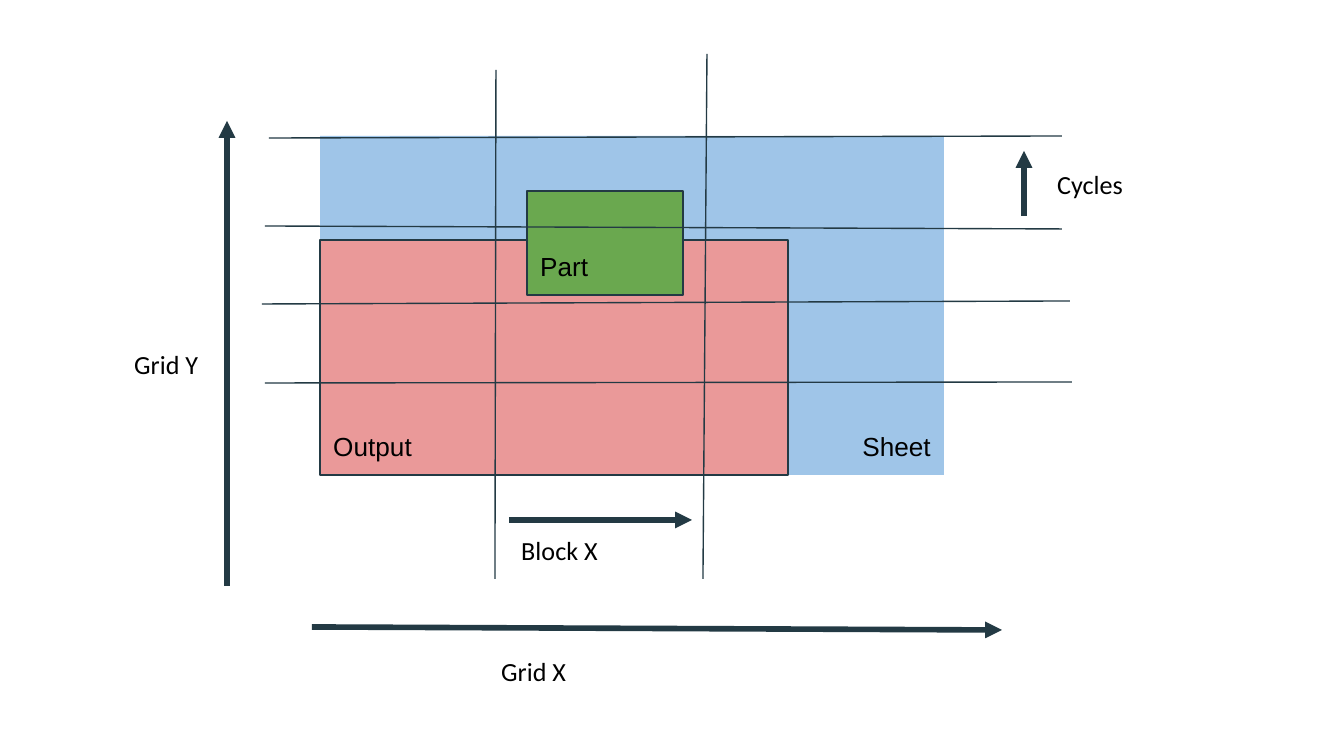
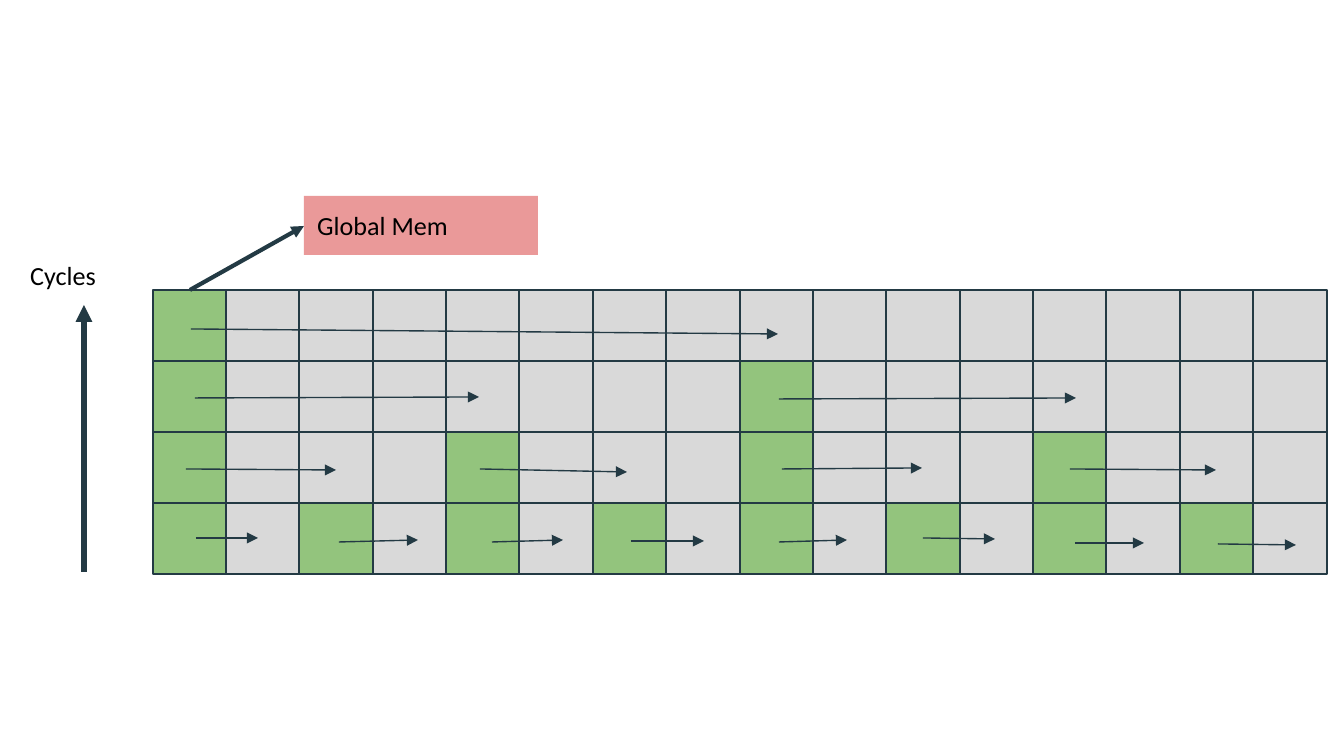
"""Build two diagrams: tiling of a sheet into blocks, and a tree reduction over cycles."""
import pptx
import pptx.dml.color
import pptx.enum.shapes
import pptx.enum.text
import pptx.oxml.ns
import pptx.util
from lxml import etree


class Theme:
    ink = "233A44"
    text = "000000"
    blue = "9FC5E8"
    red = "EA9999"
    green = "6AA84F"
    lime = "93C47D"
    gray = "D9D9D9"
    sans = "Arial"
    label = "Calibri"
    size = 14
    thin = 0.75
    mid = 2.25
    thick = 3


PX = 914400 / 134.4
RGB = pptx.dml.color.RGBColor.from_string
Pt = pptx.util.Pt
Anchor = pptx.enum.text.MSO_ANCHOR
Align = pptx.enum.text.PP_ALIGN
Fit = pptx.enum.text.MSO_AUTO_SIZE


def box(slide, rect, fill=None, edge=False, text="", font=Theme.label,
        anchor=Anchor.TOP, align=Align.LEFT):
    place = [round(n * PX) for n in rect]
    if fill:
        shape = slide.shapes.add_shape(pptx.enum.shapes.MSO_SHAPE.RECTANGLE, *place)
        shape.shadow.inherit = False
        shape.fill.solid()
        shape.fill.fore_color.rgb = RGB(fill)
        if edge:
            shape.line.color.rgb = RGB(Theme.ink)
            shape.line.width = Pt(Theme.thin)
        else:
            shape.line.fill.background()
    else:
        shape = slide.shapes.add_textbox(*place)
    if text:
        frame = shape.text_frame
        frame.word_wrap = True
        frame.auto_size = Fit.SHAPE_TO_FIT_TEXT if font == Theme.label else Fit.NONE
        frame.vertical_anchor = anchor
        frame.margin_left = frame.margin_right = pptx.util.Inches(0.1)
        frame.margin_top = frame.margin_bottom = pptx.util.Inches(0.1)
        para = frame.paragraphs[0]
        para.text = text
        para.alignment = align
        para.font.name = font
        para.font.size = Pt(Theme.size)
        para.font.color.rgb = RGB(Theme.text)


def line(slide, ends, width=Theme.thin, arrow=True):
    kind = pptx.enum.shapes.MSO_CONNECTOR.STRAIGHT
    link = slide.shapes.add_connector(kind, *[round(n * PX) for n in ends])
    link.line.color.rgb = RGB(Theme.ink)
    link.line.width = Pt(width)
    props = link._element.spPr
    if arrow:
        stroke = props.find(pptx.oxml.ns.qn("a:ln"))
        etree.SubElement(stroke, pptx.oxml.ns.qn("a:tailEnd"), type="triangle")
    etree.SubElement(props, pptx.oxml.ns.qn("a:effectLst"))


deck = pptx.Presentation()
deck.slide_width = round(1344 * PX)
deck.slide_height = round(756 * PX)
blank = deck.slide_layouts[6]

tiles = deck.slides.add_slide(blank)
for rect, fill, edge, text, align in [
    ((320, 136, 624, 339), Theme.blue, False, "Sheet", Align.RIGHT),
    ((320, 240, 468, 235), Theme.red, True, "Output", Align.LEFT),
    ((527, 191, 156, 104), Theme.green, True, "Part", Align.LEFT),
]:
    box(tiles, rect, fill, edge, text, Theme.sans, Anchor.BOTTOM, align)

for ends in [
    (265, 383, 1072, 382),
    (262, 304, 1070, 301),
    (265, 226, 1062, 229),
    (269, 138, 1062, 136),
    (496, 70, 495, 579),
    (707, 54, 703, 579),
]:
    line(tiles, ends, arrow=False)

for ends in [
    (509, 520, 692, 520),
    (312, 627, 1002, 630),
    (227, 586, 227, 121),
    (1024, 216, 1024, 151),
]:
    line(tiles, ends, Theme.thick)

for text, rect in [
    ("Block X", (508, 521, 184, 59)),
    ("Cycles", (1044, 155, 156, 59)),
    ("Grid X", (488, 642, 296, 59)),
    ("Grid Y", (121, 335, 94, 59)),
]:
    box(tiles, rect, text=text)

tree = deck.slides.add_slide(blank)
left, top, span, high = 153, 290, 1174, 71
rows, cols = 4, 16
for row in range(rows):
    step = 2 ** (row + 1)
    for col in range(cols):
        x = left + span * col // cols
        wide = left + span * (col + 1) // cols - x
        y = top + high * (rows - 1 - row)
        fill = Theme.gray if col % step else Theme.lime
        box(tree, (x, y, wide, high), fill, True)

for ends in [
    (196, 538, 258, 538),
    (339, 542, 418, 540),
    (492, 542, 563, 540),
    (631, 541, 704, 541),
    (779, 542, 847, 540),
    (923, 538, 995, 539),
    (1075, 543, 1144, 543),
    (1218, 544, 1296, 545),
    (186, 469, 336, 470),
    (480, 469, 627, 472),
    (782, 469, 922, 468),
    (1070, 469, 1216, 470),
    (195, 398, 479, 397),
    (779, 399, 1076, 398),
    (191, 329, 778, 334),
]:
    line(tree, ends)

line(tree, (84, 572, 84, 305), Theme.thick)
box(tree, (17, 246, 104, 59), text="Cycles")
box(tree, (304, 196, 234, 59), Theme.red, text="Global Mem")
line(tree, (190, 290, 304, 226), Theme.mid)

deck.save("out.pptx")
